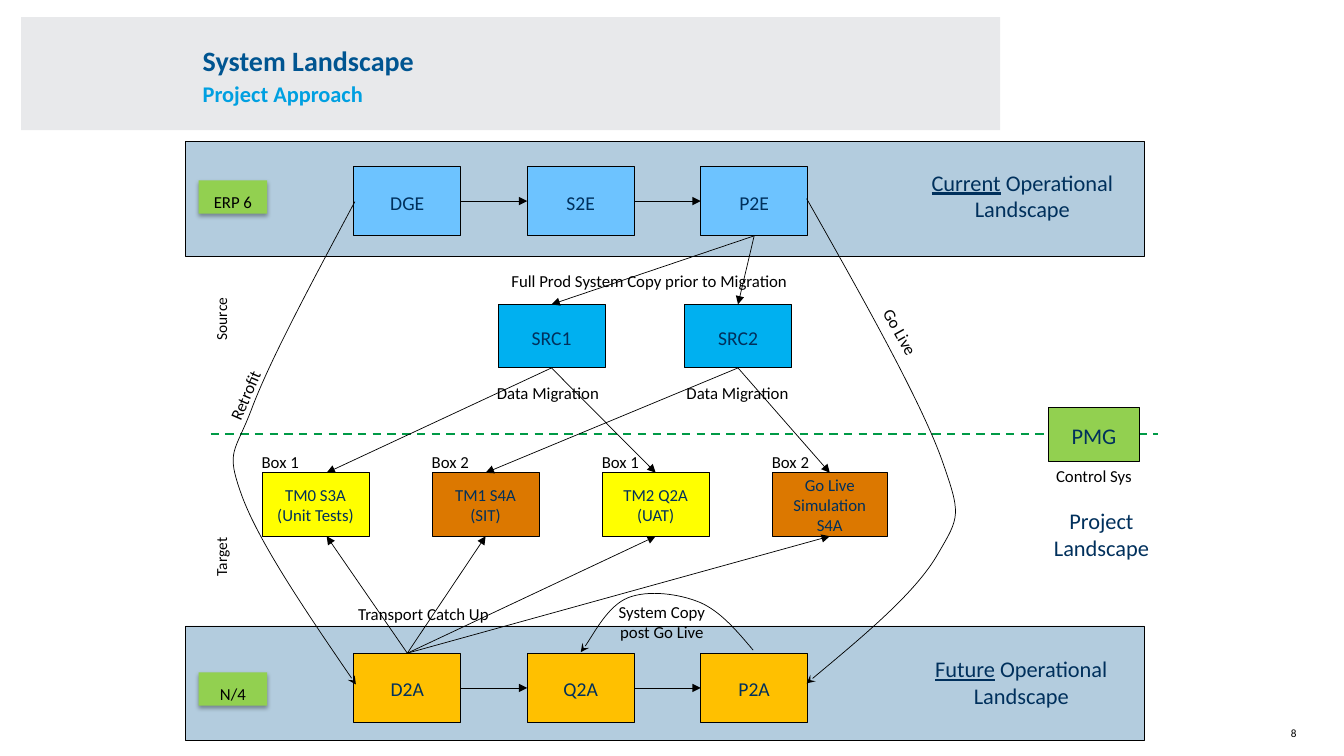
from dataclasses import dataclass

from lxml.etree import SubElement
from pptx import Presentation
from pptx.dml.color import RGBColor
from pptx.enum.dml import MSO_LINE
from pptx.enum.shapes import MSO_CONNECTOR, MSO_SHAPE
from pptx.enum.text import MSO_ANCHOR, MSO_AUTO_SIZE, PP_ALIGN
from pptx.oxml.ns import qn
from pptx.util import Inches, Pt

COLORS = {
    "black": "000000", "header": "E8E9EB", "band": "B3CCDE", "title": "005591",
    "subtitle": "00A0E1", "navy": "00305C", "green": "92D050", "divider": "009A46",
    "current": "6DC3FF", "source": "00B0F0", "future": "FFC000",
    "yellow": "FFFF00", "orange": "DC7800",
}
FONT = "Calibri"
TOP, LEFT, BOTTOM, RIGHT = range(4)
SYSTEM_X = [3.51 + 1.72 * column for column in range(3)]
TEST_X = [2.6 + (7.66 - 2.6) / 3 * column for column in range(4)]
Point = tuple[float, float]


@dataclass
class Span:
    text: str
    size: float = 12
    color: str = "black"
    bold: bool = False
    underline: bool = False


@dataclass
class System:
    name: str
    lines: tuple[str, ...]
    x: float
    y: float
    fill: str
    width: float = 1.06
    height: float = 0.69
    size: float = 14
    spacing: float = 1.1


@dataclass
class Caption:
    paragraphs: list[list[Span]]
    x: float
    y: float
    width: float
    height: float = 0.31
    rotation: float = 0
    anchor: MSO_ANCHOR = MSO_ANCHOR.TOP


@dataclass
class Link:
    start: str
    start_side: int
    end: str
    end_side: int
    shift: float = 0


@dataclass
class Curve:
    bounds: tuple[float, float, float, float]
    start: Point
    bends: list[tuple[Point, Point, Point]]


def rgb(name: str) -> RGBColor:
    return RGBColor.from_string(COLORS[name])


def label(text: str, x: float, y: float, width: float, height: float = 0.31,
          rotation: float = 0, size: float = 12) -> Caption:
    return Caption([[Span(text, size)]], x, y, width, height, rotation)


def write(frame, paragraphs: list[list[Span]], align=PP_ALIGN.CENTER, spacing: float = 1.0) -> None:
    for index, spans in enumerate(paragraphs):
        para = frame.add_paragraph() if index else frame.paragraphs[0]
        para.alignment = align
        para.line_spacing = spacing
        for span in spans:
            run = para.add_run()
            run.text = span.text
            run.font.name = FONT
            run.font.size = Pt(span.size)
            run.font.bold = span.bold
            run.font.underline = span.underline
            run.font.color.rgb = rgb(span.color)


def set_insets(frame, left: float, top: float, right: float, bottom: float) -> None:
    frame.margin_left, frame.margin_top = Inches(left), Inches(top)
    frame.margin_right, frame.margin_bottom = Inches(right), Inches(bottom)


def style_line(line, color: str = "black", width: float = 0.5, head: str = "") -> None:
    line.color.rgb = rgb(color)
    line.width = Pt(width)
    if head:
        SubElement(line._get_or_add_ln(), qn("a:tailEnd"), type=head)


def draw_rectangle(page, x: float, y: float, width: float, height: float, fill: str, outlined: bool = True):
    box = page.shapes.add_shape(MSO_SHAPE.RECTANGLE, Inches(x), Inches(y), Inches(width), Inches(height))
    box.shadow.inherit = False
    box.fill.solid()
    box.fill.fore_color.rgb = rgb(fill)
    if outlined:
        style_line(box.line)
    else:
        box.line.fill.background()
    return box


def draw_system(page, system: System):
    box = draw_rectangle(page, system.x, system.y, system.width, system.height, system.fill)
    frame = box.text_frame
    frame.word_wrap = True
    frame.vertical_anchor = MSO_ANCHOR.MIDDLE
    set_insets(frame, 0.1, 0.08, 0.1, 0.08)
    write(frame, [[Span(line, system.size, "navy")] for line in system.lines], spacing=system.spacing)
    return box


def draw_badge(page, text: str, y: float) -> None:
    box = draw_rectangle(page, 1.97, y, 0.68, 0.33, "green", outlined=False)
    effects = box._element.spPr.find(qn("a:effectLst"))
    shadow = SubElement(effects, qn("a:outerShdw"), blurRad=str(Pt(3.1)), dist=str(Pt(1.8)),
                        dir="5400000", rotWithShape="0")
    tint = SubElement(shadow, qn("a:srgbClr"), val=COLORS["black"])
    SubElement(tint, qn("a:alpha"), val="35000")
    frame = box.text_frame
    frame.word_wrap = False
    frame.vertical_anchor = MSO_ANCHOR.TOP
    set_insets(frame, 0.1, 0.09, 0.1, 0.05)
    write(frame, [[Span(text)]], spacing=1.1)


def draw_caption(page, caption: Caption) -> None:
    box = page.shapes.add_textbox(Inches(caption.x), Inches(caption.y),
                                  Inches(caption.width), Inches(caption.height))
    box.rotation = caption.rotation
    frame = box.text_frame
    frame.word_wrap = True
    frame.auto_size = MSO_AUTO_SIZE.SHAPE_TO_FIT_TEXT
    frame.vertical_anchor = caption.anchor
    write(frame, caption.paragraphs)


def draw_connector(page, start: Point = (0, 0), end: Point = (0, 0)):
    connector = page.shapes.add_connector(MSO_CONNECTOR.STRAIGHT, *map(Inches, start + end))
    SubElement(connector._element.spPr, qn("a:effectLst"))
    return connector


def draw_link(page, link: Link, boxes: dict) -> None:
    connector = draw_connector(page)
    connector.begin_connect(boxes[link.start], link.start_side)
    target = boxes[link.end]
    if link.shift:
        connector.end_x = target.left + target.width // 2 + Inches(link.shift)
        connector.end_y = target.top + (target.height if link.end_side == BOTTOM else 0)
    else:
        connector.end_connect(target, link.end_side)
    style_line(connector.line, head="triangle")


def draw_curve(page, curve: Curve) -> None:
    builder = page.shapes.build_freeform(*map(Inches, curve.start))
    builder.add_line_segments([tuple(map(Inches, bend[2])) for bend in curve.bends], close=False)
    shape = builder.convert_to_shape()
    shape.left, shape.top, shape.width, shape.height = map(Inches, curve.bounds)
    outline = next(shape._element.iter(qn("a:path")))
    outline.set("w", str(shape.width))
    outline.set("h", str(shape.height))
    for command in list(outline):
        outline.remove(command)
    for tag, points in [("a:moveTo", (curve.start,)), *(("a:cubicBezTo", bend) for bend in curve.bends)]:
        command = SubElement(outline, qn(tag))
        for x, y in points:
            SubElement(command, qn("a:pt"), x=str(Inches(x) - shape.left), y=str(Inches(y) - shape.top))
    shape.shadow.inherit = False
    shape.fill.background()
    style_line(shape.line, head="stealth")


CURVES = [
    Curve((5.76, 5.88, 1.71, 0.58), (7.47, 6.45),
          [((7.31, 6.26), (7.15, 6.07), (6.95, 5.98)), ((6.74, 5.89), (6.43, 5.85), (6.23, 5.93)),
           ((6.03, 6.01), (5.84, 6.38), (5.76, 6.47))]),
    Curve((2.31, 2, 1.22, 4.79), (3.52, 2),
          [((3.11, 2.77), (2.7, 3.53), (2.51, 4.02)), ((2.33, 4.51), (2.23, 4.45), (2.4, 4.92)),
           ((2.57, 5.38), (3.05, 6.09), (3.53, 6.79))]),
    Curve((8, 1.97, 1.48, 4.81), (8, 1.97),
          [((8.56, 2.96), (9.11, 3.94), (9.33, 4.53)), ((9.54, 5.12), (9.52, 5.12), (9.3, 5.5)),
           ((9.08, 5.88), (8.54, 6.33), (8, 6.78))]),
]
TESTS = [("TM0", ("TM0 S3A", "(Unit Tests)"), "yellow", 1.06), ("TM1", ("TM1 S4A", "(SIT)"), "orange", 1.06),
         ("TM2", ("TM2 Q2A", "(UAT)"), "yellow", 1.06), ("Simulation", ("Go Live Simulation S4A",), "orange", 1.14)]
TEST_SYSTEMS = [System(name, lines, x, 4.69, fill, width, 0.63, 12, 1.0)
                for (name, lines, fill, width), x in zip(TESTS, TEST_X)]
SYSTEMS = [
    *[System(name, (name,), x, 1.65, "current") for name, x in zip(("DGE", "S2E", "P2E"), SYSTEM_X)],
    *[System(name, (name,), x, 6.48, "future") for name, x in zip(("D2A", "Q2A", "P2A"), SYSTEM_X)],
    *[System(name, (name,), x, 3.02, "source", height=0.63) for name, x in (("SRC1", 4.94), ("SRC2", 6.79))],
    System("PMG", ("PMG",), 10.4, 4.04, "green", 0.9, 0.54, 16),
]
LINKS = [
    *[Link(a, RIGHT, b, LEFT) for a, b in (("DGE", "S2E"), ("S2E", "P2E"), ("D2A", "Q2A"), ("Q2A", "P2A"))],
    *[Link("P2E", BOTTOM, source, TOP) for source in ("SRC1", "SRC2")],
    *[Link(a, BOTTOM, b, TOP, 0.11 if b == "TM0" else 0)
      for a, b in (("SRC1", "TM0"), ("SRC1", "TM2"), ("SRC2", "TM1"), ("SRC2", "Simulation"))],
    *[Link("D2A", TOP, test[0], BOTTOM, 0.11 if test[0] == "TM0" else 0) for test in TESTS],
]
CAPTIONS = [
    label("Source", 1.67, 3.02, 1.05, 0.29, 270, 11), label("Target", 1.67, 5.38, 1.05, 0.29, 270, 11),
    label("Control Sys", 10.2, 4.57, 1.3), label("System Copy post Go Live", 5.93, 5.92, 1.27, 0.5),
    label("Full Prod System Copy prior to Migration", 4.89, 2.64, 3.1),
    label("Go Live", 8.29, 3.14, 1.27, rotation=61), label("Retrofit", 1.8, 3.77, 1.27, rotation=293.4),
    label("Transport Catch Up", 2.79, 5.94, 2.82),
    *[label("Data Migration", x, 3.75, 1.93) for x in (4.47, 6.35)],
    *[label(f"Box {column % 2 + 1}", x - 0.24, 4.43, 0.84) for column, x in enumerate(TEST_X)],
    Caption([[Span(word, 16, "navy")] for word in ("Project", "Landscape")], 10.01, 4.98, 1.83, 0.64),
    *[Caption([[Span(era, 16, "navy", underline=True), Span(" Operational Landscape", 16, "navy")]],
              x, y, width, 0.64, anchor=MSO_ANCHOR.MIDDLE)
      for era, x, y, width in (("Current", 8.96, 1.62, 2.36), ("Future", 9.08, 6.45, 2.1))],
]


def draw_frame_text(page, bounds: Point, size: Point, side: float, anchor, paragraphs, align, spacing: float) -> None:
    frame = page.shapes.add_textbox(*map(Inches, bounds + size)).text_frame
    frame.word_wrap = True
    frame.vertical_anchor = anchor
    set_insets(frame, side, 0, side, 0)
    write(frame, paragraphs, align, spacing)


def main() -> None:
    deck = Presentation()
    deck.slide_width, deck.slide_height = Inches(13.33), Inches(7.5)
    page = deck.slides.add_slide(deck.slide_layouts[6])
    draw_rectangle(page, 0.21, 0.17, 9.71, 1.12, "header", outlined=False)
    heading = [[Span("System Landscape", 20, "title", True)], [Span("Project Approach", 16, "subtitle", True)]]
    draw_frame_text(page, (1.82, 0.17), (7.28, 1.12), 0.19, MSO_ANCHOR.MIDDLE, heading, PP_ALIGN.LEFT, 1.1)
    draw_frame_text(page, (12.34, 7.06), (0.52, 0.28), 0, MSO_ANCHOR.BOTTOM, [[Span("8", 8)]], PP_ALIGN.RIGHT, 1.0)
    for badge, band_y, badge_y in (("ERP 6", 1.4, 1.79), ("N/4", 6.21, 6.67)):
        draw_rectangle(page, 1.84, band_y, 9.51, 1.14, "band")
        draw_badge(page, badge, badge_y)
    divider = draw_connector(page, (2.09, 4.31), (11.49, 4.31))
    style_line(divider.line, "divider", 1.5)
    divider.line.dash_style = MSO_LINE.DASH
    boxes = {system.name: draw_system(page, system) for system in SYSTEMS}
    for curve in CURVES:
        draw_curve(page, curve)
    boxes |= {system.name: draw_system(page, system) for system in TEST_SYSTEMS}
    for link in LINKS:
        draw_link(page, link, boxes)
    for caption in CAPTIONS:
        draw_caption(page, caption)
    deck.save("out.pptx")


if __name__ == "__main__":
    main()
